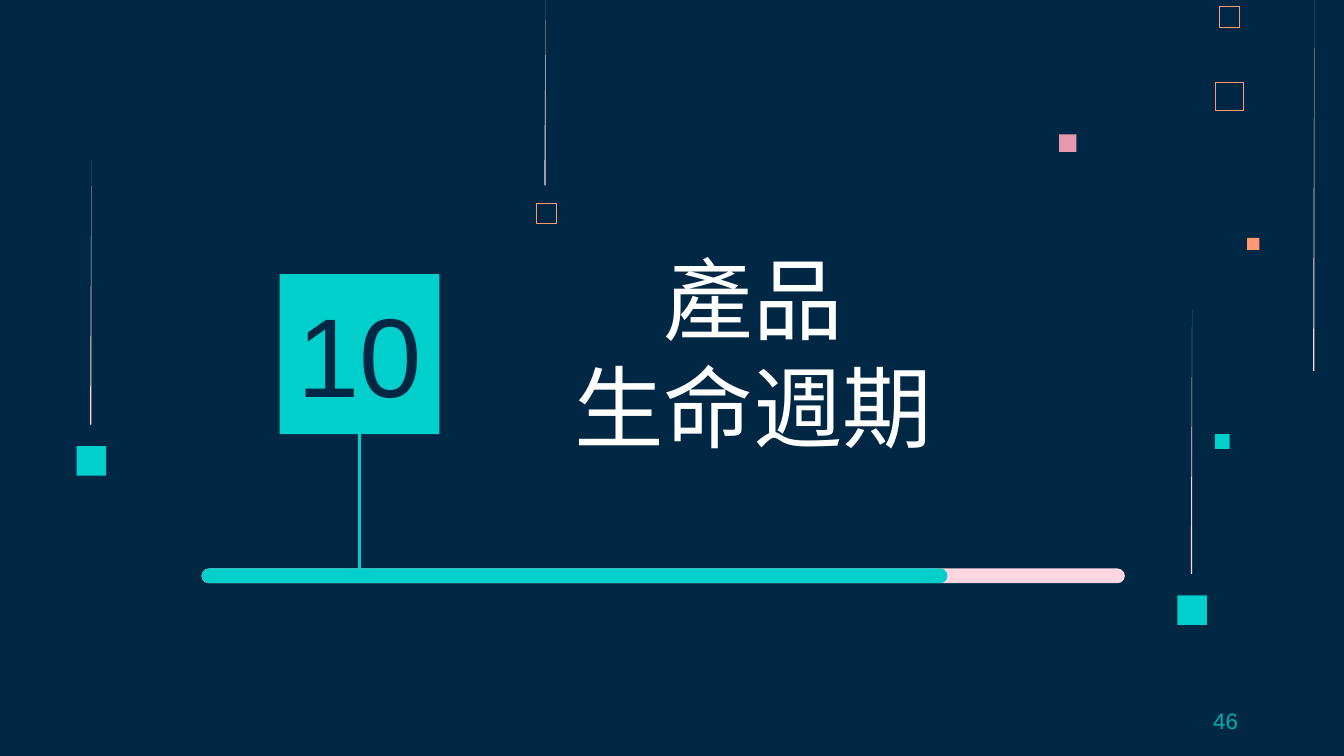
"""Build the section slide for the product life cycle."""
from typing import NamedTuple

from lxml.etree import SubElement
from pptx import Presentation
from pptx.dml.color import RGBColor as Rgb
from pptx.enum.shapes import MSO_CONNECTOR as Link, MSO_SHAPE as Kind
from pptx.enum.text import MSO_ANCHOR as Anchor, MSO_AUTO_SIZE as Fit, PP_ALIGN as Align
from pptx.oxml.ns import qn
from pptx.util import Inches, Pt

HUES = {"navy": "002845", "teal": "00CFCC", "deep": "00AEAC", "rose": "E898AC",
        "pale": "FFD6E1", "peach": "FF9973", "white": "FFFFFF"}


class Box(NamedTuple):
    left: float
    top: float
    wide: float
    high: float


class Tile(NamedTuple):
    left: float
    top: float
    side: float
    hue: str
    edge: float = 0


class Ray(NamedTuple):
    left: float
    top: float
    end: float


class Bar(NamedTuple):
    wide: float
    hue: str


TILES = [
    Tile(7.88, 1, 0.13, "rose"),
    Tile(9.04, 3.23, 0.11, "teal"),
    Tile(9.04, 0.61, 0.21, "peach", 0.45),
    Tile(9.07, 0.05, 0.15, "peach", 0.32),
    Tile(9.28, 1.77, 0.09, "peach"),
    Tile(3.99, 1.51, 0.15, "peach", 0.32),
    Tile(8.76, 4.43, 0.22, "teal"),
    Tile(0.57, 3.32, 0.22, "teal"),
]
RAYS = [Ray(4.05, 0, 1.38), Ray(9.77, 0, 2.76), Ray(8.86, 2.31, 4.27), Ray(0.67, 1.19, 3.16)]
BARS = [Bar(6.87, "pale"), Bar(5.55, "teal")]


def tint(hue: str) -> Rgb:
    return Rgb.from_string(HUES[hue])


def paint(shape, hue: str, edge: float = 0) -> None:
    shape.shadow.inherit = False
    if edge:
        shape.fill.background()
        shape.line.color.rgb = tint(hue)
        shape.line.width = Pt(edge)
    else:
        shape.fill.solid()
        shape.fill.fore_color.rgb = tint(hue)
        shape.line.fill.background()


def draw_tile(slide, tile: Tile):
    side = Inches(tile.side)
    shape = slide.shapes.add_shape(
        Kind.RECTANGLE, Inches(tile.left), Inches(tile.top), side, side)
    paint(shape, tile.hue, tile.edge)
    return shape


def draw_ray(slide, ray: Ray) -> None:
    left, right = Inches(ray.left), Inches(ray.left + 0.01)
    pen = slide.shapes.build_freeform(right, Inches(ray.top))
    pen.add_line_segments([(left, Inches(ray.end)), (right, Inches(ray.end))])
    paint(pen.convert_to_shape(), "pale")


def draw_bar(slide, bar: Bar) -> None:
    shape = slide.shapes.add_shape(
        Kind.ROUNDED_RECTANGLE, Inches(1.5), Inches(4.23), Inches(bar.wide), Inches(0.11))
    shape.adjustments[0] = 0.5
    paint(shape, bar.hue)


def draw_stem(slide, badge) -> None:
    mid = badge.left + badge.width // 2
    stem = slide.shapes.add_connector(
        Link.STRAIGHT, mid, badge.top + badge.height, mid, Inches(4.3))
    stem.begin_connect(badge, 2)
    stem.line.color.rgb = tint("teal")
    stem.line.width = Pt(1.5)
    SubElement(stem.element.spPr, qn("a:effectLst"))


def write(shape, box: Box, text: str, size: float, hue: str, font: str = "Arial",
          anchor=Anchor.MIDDLE, align=Align.CENTER, pad: float = 0.1) -> None:
    shape.left, shape.top, shape.width, shape.height = map(Inches, box)
    frame = shape.text_frame
    frame.text = text
    frame.word_wrap = True
    frame.auto_size = Fit.NONE
    frame.vertical_anchor = anchor
    frame.margin_left = frame.margin_right = Inches(0.1)
    frame.margin_top = frame.margin_bottom = Inches(pad)
    para = frame.paragraphs[0]
    para.alignment = align
    para.space_before = Pt(0)
    for run in para.runs:
        run.font.size = Pt(size)
        run.font.name = font
        run.font.color.rgb = tint(hue)
        SubElement(run.font._element, qn("a:ea"), typeface=font)


def main() -> None:
    deck = Presentation()
    deck.slide_width = Inches(10)
    deck.slide_height = deck.slide_width * 9 // 16
    slide = deck.slides.add_slide(deck.slide_layouts[0])
    slide.background.fill.solid()
    slide.background.fill.fore_color.rgb = tint("navy")
    for tile in TILES:
        draw_tile(slide, tile)
    for ray in RAYS:
        draw_ray(slide, ray)

    title, number = slide.placeholders
    write(title, Box(4.17, 1.73, 2.87, 1.79), "產品\v生命週期", 48, "white",
          "Noto Sans CJK SC", Anchor.BOTTOM)
    title.text_frame.paragraphs[0].line_spacing = Pt(58)
    badge = draw_tile(slide, Tile(2.08, 2.04, 1.19, "teal"))
    write(number, Box(1.98, 2.31, 1.39, 0.63), "10", 60, "navy")
    badge.element.addnext(number.element)

    for bar in BARS:
        draw_bar(slide, bar)
    draw_stem(slide, badge)
    page = slide.shapes.add_textbox(0, 0, 0, 0)
    write(page, Box(7.06, 5.21, 2.25, 0.3), "46", 12, "deep", align=Align.RIGHT, pad=0.05)
    deck.save("out.pptx")


if __name__ == "__main__":
    main()
